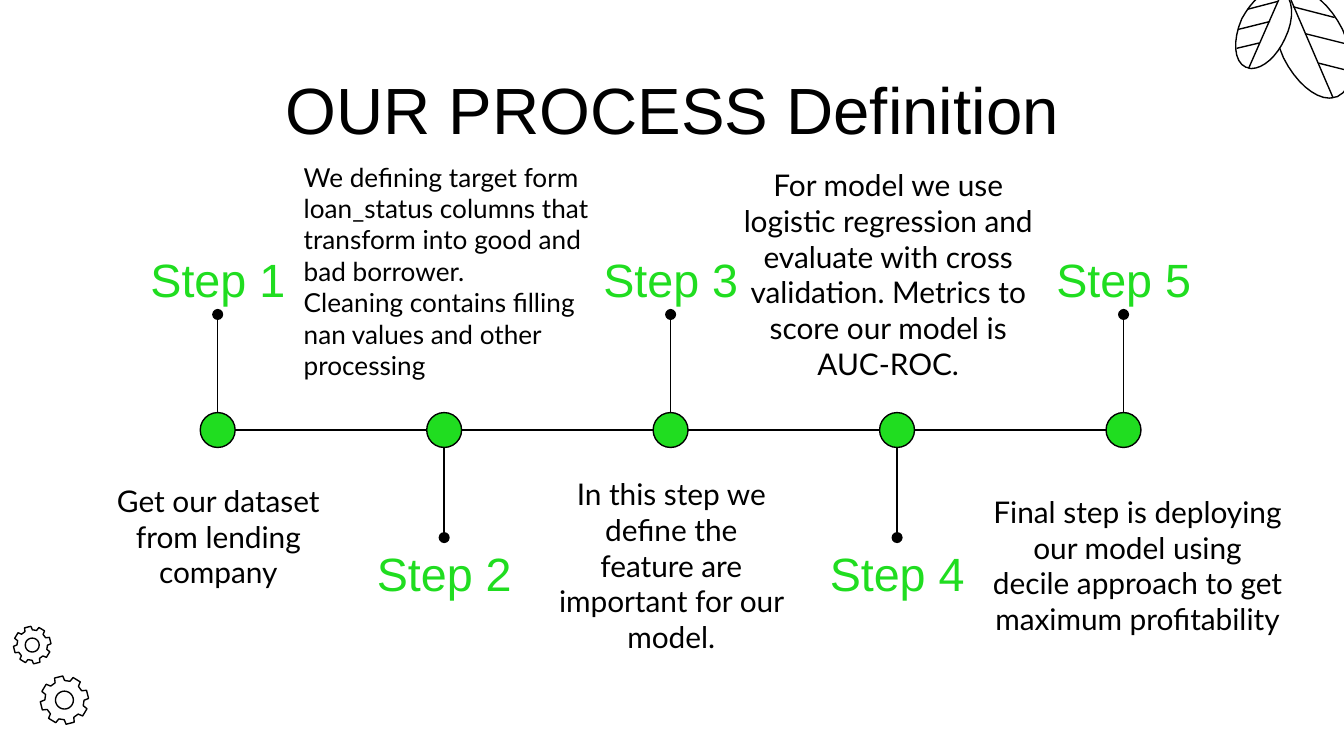
from math import cos, radians, sin

from pptx import Presentation
from pptx.dml.color import RGBColor
from pptx.enum.shapes import MSO_CONNECTOR, MSO_SHAPE
from pptx.enum.text import MSO_ANCHOR, PP_ALIGN
from pptx.oxml.ns import qn
from pptx.util import Inches, Pt
from lxml.etree import SubElement

# description, then its box: left, top, width, height, alignment, size
STEPS = [
    ("Get our dataset from lending company",
     (0.78, 3.7, 1.69, 0.58), PP_ALIGN.CENTER, 16),
    ("We defining target form loan_status columns that transform into good "
     "and bad borrower.\n"
     "Cleaning contains filling nan values and other processing",
     (2.26, 1.09, 2.18, 1.85), PP_ALIGN.LEFT, 14),
    ("In this step we define the feature are important for our model.",
     (4.15, 3.54, 1.69, 1.33), PP_ALIGN.CENTER, 16),
    ("For model we use logistic regression and evaluate with cross "
     "validation. Metrics to score our model is AUC-ROC.",
     (5.53, 1.14, 2.16, 1.8), PP_ALIGN.CENTER, 16),
    ("Final step is deploying our model using decile approach to get "
     "maximum profitability",
     (7.38, 3.54, 2.17, 1.33), PP_ALIGN.CENTER, 16),
]
FIRST_X, LAST_X, AXIS_Y, RADIUS = 1.62, 8.36, 3.2, 0.13
STEP_GAP = (LAST_X - FIRST_X) / (len(STEPS) - 1)
LABEL_WIDTH, LABEL_HEIGHT = 1.69, 0.53

# Each outline: start point, then Bezier segments of two controls and an end.
# Each vein: from x, y to x, y; the last one is the midrib.
LEAVES = [
    ([(9.89, 0.73),
      (9.91, 0.73), (9.94, 0.72), (9.95, 0.72),
      (10.08, 0.66), (10.09, 0.44), (9.99, 0.22),
      (9.9, 0.04), (9.76, -0.08), (9.65, -0.08),
      (9.63, -0.08), (9.61, -0.07), (9.59, -0.06),
      (9.46, 0), (9.45, 0.21), (9.55, 0.43),
      (9.64, 0.61), (9.78, 0.73), (9.89, 0.73)],
     [(9.62, 0.05, 9.93, 0.13), (9.71, 0.25, 10.03, 0.33),
      (9.81, 0.47, 10.05, 0.53), (9.92, 0.73, 9.58, -0.06)]),
    ([(9.31, 0.51),
      (9.3, 0.51), (9.28, 0.5), (9.27, 0.5),
      (9.18, 0.46), (9.17, 0.3), (9.24, 0.14),
      (9.31, 0.01), (9.41, -0.08), (9.49, -0.08),
      (9.51, -0.08), (9.52, -0.07), (9.54, -0.07),
      (9.62, -0.02), (9.64, 0.13), (9.56, 0.29),
      (9.5, 0.42), (9.4, 0.51), (9.31, 0.51)],
     [(9.51, 0.01, 9.28, 0.07), (9.45, 0.16, 9.21, 0.22),
      (9.37, 0.32, 9.2, 0.36), (9.29, 0.51, 9.54, -0.06)]),
]
GEARS = [(0.48, 5.21, 0.18), (0.24, 4.8, 0.14)]


def color(hex_code):
    return RGBColor.from_string(hex_code)


def curve_points(points, parts=8):
    """Sample a chain of cubic Bezier segments."""
    result = [points[0]]
    for i in range(0, len(points) - 1, 3):
        for k in range(1, parts + 1):
            t = k / parts
            weights = ((1 - t) ** 3, 3 * t * (1 - t) ** 2,
                       3 * t * t * (1 - t), t ** 3)
            corners = points[i:i + 4]
            result.append(tuple(sum(w * corner[axis] for w, corner in zip(weights, corners))
                                for axis in (0, 1)))
    return result


def polar(x, y, radius, degrees):
    return x + radius * cos(radians(degrees)), y + radius * sin(radians(degrees))


def gear_contours(x, y, radius, teeth=8):
    profile = [(-14.5, 0.81), (-10, 1), (10, 1), (14.5, 0.81)]
    rim = [polar(x, y, radius * reach, -59 + 360 / teeth * tooth + turn)
           for tooth in range(teeth) for turn, reach in profile]
    hole = [polar(x, y, radius * 0.37, angle) for angle in range(0, 360, 15)]
    return [rim, hole]


class ProcessSlide:
    INK, GREEN, PAPER = "000000", "20DD20", "FFFFFF"
    HEADING_FONT, BODY_FONT = "Arial", "Lato"
    LINE_WIDTH = Pt(0.75)

    def __init__(self, slide):
        self.shapes = slide.shapes
        slide.background.fill.solid()
        slide.background.fill.fore_color.rgb = color(self.PAPER)

    def style(self, shape, fill=None):
        shape.shadow.inherit = False
        if fill:
            shape.fill.solid()
            shape.fill.fore_color.rgb = color(fill)
        else:
            shape.fill.background()
        shape.line.color.rgb = color(self.INK)
        shape.line.width = self.LINE_WIDTH

    def text(self, words, place, size, font=BODY_FONT, ink=INK, align=PP_ALIGN.CENTER):
        box = self.shapes.add_textbox(*map(Inches, place))
        frame = box.text_frame
        frame.word_wrap = True
        frame.vertical_anchor = MSO_ANCHOR.MIDDLE
        frame.margin_left = frame.margin_right = 0
        frame.margin_top = frame.margin_bottom = 0
        frame.text = words
        for para in frame.paragraphs:
            para.alignment = align
            for span in para.runs:
                span.font.size = Pt(size)
                span.font.name = font
                span.font.color.rgb = color(ink)

    def line(self, x1, y1, x2, y2, dot=False):
        """Draw a line, with a round end at x2, y2 if dot is set."""
        line = self.shapes.add_connector(
            MSO_CONNECTOR.STRAIGHT, *map(Inches, (x1, y1, x2, y2)))
        line.line.color.rgb = color(self.INK)
        line.line.width = self.LINE_WIDTH
        properties = line._element.spPr
        if dot:
            SubElement(properties.find(qn("a:ln")), qn("a:tailEnd"), type="oval")
        SubElement(properties, qn("a:effectLst"))

    def circle(self, x, y, radius):
        circle = self.shapes.add_shape(
            MSO_SHAPE.OVAL, *map(Inches, (x - radius, y - radius, 2 * radius, 2 * radius)))
        self.style(circle, self.GREEN)

    def outline(self, contours, fill=None):
        contours = [[(Inches(x), Inches(y)) for x, y in contour] for contour in contours]
        builder = self.shapes.build_freeform(*contours[0][0])
        for index, contour in enumerate(contours):
            if index:
                builder.move_to(*contour[0])
            builder.add_line_segments(contour[1:], close=True)
        self.style(builder.convert_to_shape(), fill)

    def leaf(self, edge, veins):
        self.outline([curve_points(edge)], self.PAPER)
        for vein in veins:
            self.line(*vein)

    def step(self, index, words, place, align, size):
        x = FIRST_X + STEP_GAP * index
        label_above = index % 2 == 0
        label_top = 1.81 if label_above else 4
        stem_end = label_top + LABEL_HEIGHT if label_above else label_top
        stem_start = AXIS_Y - RADIUS if label_above else AXIS_Y + RADIUS
        self.text(f"Step {index + 1}",
                  (x - LABEL_WIDTH / 2, label_top, LABEL_WIDTH, LABEL_HEIGHT),
                  25, self.HEADING_FONT, self.GREEN)
        self.text(words, place, size, align=align)
        self.circle(x, AXIS_Y, RADIUS)
        self.line(x, stem_start, x, stem_end, dot=True)
        if index:
            self.line(x - STEP_GAP + RADIUS, AXIS_Y, x - RADIUS, AXIS_Y)


def main():
    deck = Presentation()
    deck.slide_width = Inches(10)
    deck.slide_height = deck.slide_width * 9 // 16
    page = ProcessSlide(deck.slides.add_slide(deck.slide_layouts[6]))
    for edge, veins in LEAVES:
        page.leaf(edge, veins)
    for gear in GEARS:
        page.outline(gear_contours(*gear))
    page.text("OUR PROCESS Definition", (0.79, 0.49, 8.43, 0.63), 35, page.HEADING_FONT)
    for index, step in enumerate(STEPS):
        page.step(index, *step)
    deck.save("out.pptx")


if __name__ == "__main__":
    main()
